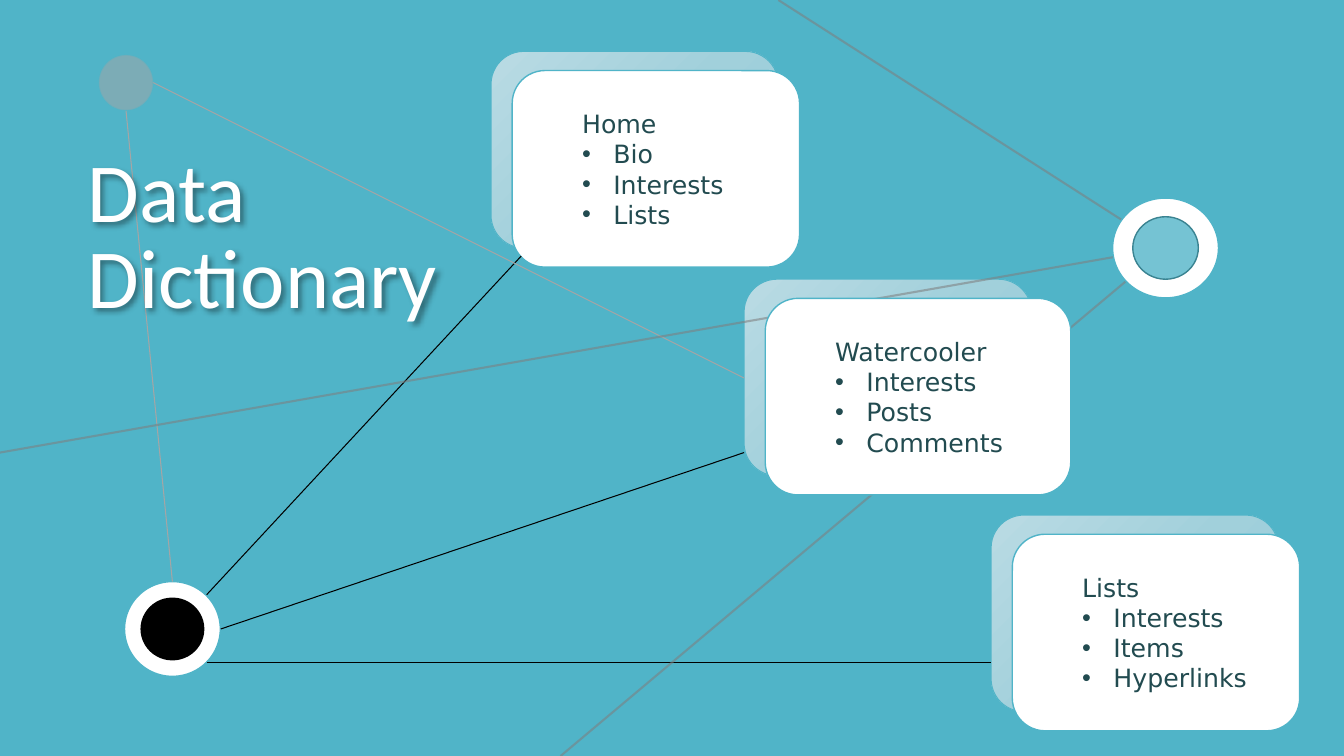
from lxml.etree import SubElement
from pptx import Presentation
from pptx.dml.color import RGBColor
from pptx.enum.shapes import MSO_CONNECTOR as Connector, MSO_SHAPE as Shape
from pptx.enum.text import MSO_ANCHOR as Anchor, PP_ALIGN as Align
from pptx.oxml import parse_xml
from pptx.oxml.ns import nsdecls, qn
from pptx.util import Inches, Pt

# Content
TITLE = "Data Dictionary"
CARDS = {  # heading: (left, top, front width, items)
    "Home": (4.87, 0.51, 2.85, ["Bio", "Interests", "Lists"]),
    "Lists": (9.83, 5.11, 2.85, ["Interests", "Items", "Hyperlinks"]),
    "Watercooler": (7.38, 2.77, 3.03, ["Interests", "Posts", "Comments"]),
}
LAST_CARD = "Watercooler"  # lies over the lines

# Theme
THEME = {
    "back": "50B4C8", "paper": "FFFFFF", "ink": "224B50", "black": "000000",
    "thread": "A5A5A5", "ray": "7F7F7F", "dot": "A6A6A6", "rim": "3A8391",
    "sheen": [(0, "BADBE4"), (50, "A1D0DB"), (100, "90CAD8")],
    "title_font": "Calibri", "body_font": "DejaVu Sans",
    "title_size": 60, "body_size": 18,
}

# Geometry in inches
WIDTH, HEIGHT = 13.33, 7.5
CARD_WIDTH, CARD_HEIGHT = 2.85, 1.95
SHIFT_X, SHIFT_Y = 0.21, 0.19
HEADING_INDENT, ITEM_INDENT, BULLET_HANG = 0.5, 0.81, 0.31
HUB = (1.71, 6.24)
SUN = (11.56, 2.46)
LINKS = [((2.05, 5.9), (5.17, 2.54)), ((2.19, HUB[1]), (7.38, 4.49)),
         ((2.05, 6.57), (9.83, 6.57))]
THREADS = [((1.52, 0.82), (7.38, 3.75)), ((1.25, 1.1), (HUB[0], 5.77))]
RAYS = [(SUN, end) for end in [(0, 4.49), (7.72, 0), (5.56, HEIGHT)]]


def rgb(name):
    return RGBColor.from_string(THEME[name])


def set_alpha(properties, percent):
    color = properties.find(qn("a:solidFill"))[0]
    SubElement(color, qn("a:alpha")).set("val", str(percent * 1000))


def add_outlined(kind, box, fill, line, weight=1, fill_alpha=None, line_alpha=None):
    shape = slide.shapes.add_shape(kind, *map(Inches, box))
    shape.shadow.inherit = False
    shape.line.color.rgb = rgb(line)
    shape.line.width = Pt(weight)
    if fill == "sheen":
        stops = "".join(f'<a:gs pos="{place * 1000}"><a:srgbClr val="{color}"/></a:gs>'
                        for place, color in THEME["sheen"])
        shape._element.spPr.find(qn("a:prstGeom")).addnext(parse_xml(
            f'<a:gradFill {nsdecls("a")} rotWithShape="1"><a:gsLst>{stops}</a:gsLst>'
            '<a:lin ang="2700000" scaled="0"/></a:gradFill>'))
    else:
        shape.fill.solid()
        shape.fill.fore_color.rgb = rgb(fill)
    if fill_alpha:
        set_alpha(shape._element.spPr, fill_alpha)
    if line_alpha:
        set_alpha(shape.line._get_or_add_ln(), line_alpha)
    return shape


def add_disc(center, width, height, *look):
    box = (center[0] - width / 2, center[1] - height / 2, width, height)
    return add_outlined(Shape.OVAL, box, *look)


def add_lines(ends, color, weight, alpha=None):
    for start, end in ends:
        line = slide.shapes.add_connector(Connector.STRAIGHT, *map(Inches, start + end))
        line.line.color.rgb = rgb(color)
        line.line.width = Pt(weight)
        SubElement(line._element.spPr, qn("a:effectLst"))
        if alpha:
            set_alpha(line.line._get_or_add_ln(), alpha)


def style_frame(frame):
    layout = {"word_wrap": True, "vertical_anchor": Anchor.MIDDLE,
              "margin_left": Inches(0.1), "margin_right": Inches(0.1),
              "margin_top": Inches(0.05), "margin_bottom": Inches(0.05)}
    for name, value in layout.items():
        setattr(frame, name, value)


def write(paragraph, text, role, color):
    run = paragraph.add_run()
    run.text = text
    look = {"name": THEME[f"{role}_font"], "size": Pt(THEME[f"{role}_size"])}
    for name, value in look.items():
        setattr(run.font, name, value)
    run.font.color.rgb = rgb(color)
    paragraph.alignment = Align.LEFT


def add_card_back(heading):
    left, top, _, _ = CARDS[heading]
    add_outlined(Shape.ROUNDED_RECTANGLE, (left, top, CARD_WIDTH, CARD_HEIGHT),
                 "sheen", "back", 0.75)


def add_card_front(heading):
    left, top, width, items = CARDS[heading]
    box = (left + SHIFT_X, top + SHIFT_Y, width, CARD_HEIGHT)
    frame = add_outlined(Shape.ROUNDED_RECTANGLE, box, "paper", "back").text_frame
    style_frame(frame)
    for row, text in enumerate([heading] + items):
        paragraph = frame.add_paragraph() if row else frame.paragraphs[0]
        write(paragraph, text, "body", "ink")
        paragraph.level = 1
        layout = paragraph._p.get_or_add_pPr()
        layout.set("marL", str(Inches(ITEM_INDENT if row else HEADING_INDENT)))
        layout.set("indent", str(Inches(-BULLET_HANG if row else 0)))
        if row:
            SubElement(layout, qn("a:buFont")).set("typeface", "Arial")
            SubElement(layout, qn("a:buChar")).set("char", "•")


def add_title():
    title = slide.shapes.add_textbox(*map(Inches, (0.77, 0.7, 4.37, 3.36)))
    style_frame(title.text_frame)
    paragraph = title.text_frame.paragraphs[0]
    write(paragraph, TITLE, "title", "paper")
    paragraph.line_spacing = 0.85
    title._element.spPr.append(parse_xml(
        f'<a:effectLst {nsdecls("a")}><a:outerShdw blurRad="50800" dist="38100" '
        'dir="2700000" algn="tl" rotWithShape="0"><a:srgbClr val="000000">'
        '<a:alpha val="40000"/></a:srgbClr></a:outerShdw></a:effectLst>'))


# Slide
deck = Presentation()
deck.slide_width, deck.slide_height = Inches(WIDTH), Inches(HEIGHT)
slide = deck.slides.add_slide(deck.slide_layouts[6])
slide.background.fill.solid()
slide.background.fill.fore_color.rgb = rgb("back")

# Cards below the lines
for card in CARDS:
    add_card_back(card)
    if card != LAST_CARD:
        add_card_front(card)

# Hub with its links
add_disc(HUB, 0.95, 0.94, "paper", "back")
add_disc(HUB, 0.62, 0.61, "black", "black")
add_lines(LINKS, "black", 0.75)

# Grey dot with its threads
add_disc((1.25, 0.82), 0.54, 0.55, "dot", "back", 1, 52, 36)
add_lines(THREADS, "thread", 0.75)
add_title()

# Sun with its rays
add_lines(RAYS, "ray", 1.5, 56)
add_disc(SUN, 1.05, 0.99, "paper", "back")
add_disc(SUN, 0.65, 0.62, "back", "rim", 1, 79)
add_card_front(LAST_CARD)

deck.save("out.pptx")
